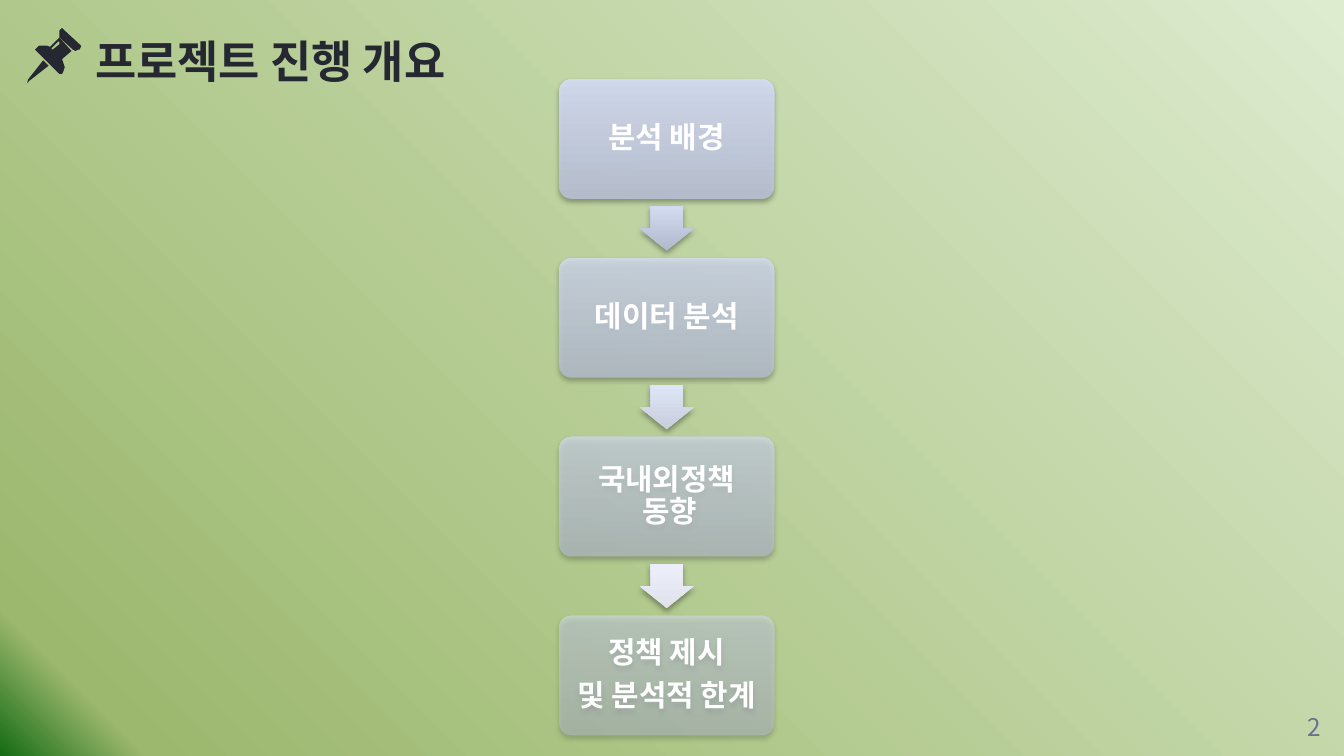
from dataclasses import dataclass

from lxml.etree import SubElement
from pptx import Presentation
from pptx.dml.color import RGBColor
from pptx.enum.shapes import MSO_SHAPE as Kind
from pptx.enum.text import MSO_ANCHOR as Anchor, PP_ALIGN as Align
from pptx.oxml.ns import qn
from pptx.util import Cm, Pt


@dataclass(frozen=True)
class Theme:
    font: str = "Noto Sans CJK KR"
    dark: str = "252831"
    light: str = "FFFFFF"
    grey: str = "68728D"
    black: str = "000000"
    back: tuple = ((0, "DDEBCF"), (93, "9CB86E"), (100, "156B13"))
    card: tuple = ((0, "BAC1D6"), (100, "D6DEF6"))
    arrows: tuple = (
        ((0, "B1B9CD"), (100, "D3DBF1")),
        ((0, "C9CEDD"), (100, "DEE5F6")),
        ((0, "E0E3EC"), (100, "ECEFFA")),
    )
    title: int = 24
    step: int = 16
    number: int = 13


THEME = Theme()
STEPS = (
    (90, ["분석 배경"]),
    (77, ["데이터 분석"]),
    (63, ["국내외정책\v 동향"]),
    (50, ["정책 제시", "및 분석적 한계"]),
)
NEEDLE = [[(12, 24), (1, 38), (0, 41), (2, 39), (16, 28)]]
HEAD = [[(26, 0), (25, 1), (24, 2), (24, 7), (34, 16), (36, 17),
         (38, 16), (39, 16), (40, 14), (40, 13), (27, 1)]]
BODY = [
    [(24, 7), (17, 14), (15, 13), (12, 13), (9, 13), (7, 15), (6, 16),
     (24, 34), (26, 34), (27, 32), (28, 29), (27, 26), (26, 23), (33, 17)],
    [(24, 10), (24, 12), (19, 16), (18, 15), (23, 10)],
]


def tint(parent, color, alpha):
    node = SubElement(parent, qn("a:srgbClr"), val=color)
    if alpha < 100:
        SubElement(node, qn("a:alpha"), val=str(alpha * 1000))


def blend(fill, root, stops, angle, alpha=100):
    fill.gradient()
    fill.gradient_angle = 360 - angle
    grad = root.xpath(".//a:gradFill")[0]
    grad.set("rotWithShape", "0")
    ramp = grad.find(qn("a:gsLst"))
    for stop in list(ramp):
        ramp.remove(stop)
    for pos, color in stops:
        tint(SubElement(ramp, qn("a:gs"), pos=str(pos * 1000)), color, alpha)


def shade(shape):
    shape.shadow.inherit = False
    effect = shape._element.spPr.find(qn("a:effectLst"))
    drop = SubElement(effect, qn("a:outerShdw"), blurRad=str(Pt(3.1)),
                      dist=str(Pt(1.8)), dir="5400000", rotWithShape="0")
    tint(drop, THEME.black, 35)


def write(shape, lines, size, color, inset=0, bold=False,
          anchor=Anchor.MIDDLE, layout=None):
    frame = shape.text_frame
    look = dict(word_wrap=True, vertical_anchor=anchor,
                margin_left=inset, margin_right=inset,
                margin_top=inset, margin_bottom=inset)
    for key, value in look.items():
        setattr(frame, key, value)
    frame.text = "\n".join(lines)
    for para in frame.paragraphs:
        for key, value in (layout or {}).items():
            setattr(para, key, value)
        for run in para.runs:
            style = dict(name=THEME.font, size=Pt(size), bold=bold)
            for key, value in style.items():
                setattr(run.font, key, value)
            run.font.color.rgb = RGBColor.from_string(color)
            SubElement(run.font._element, qn("a:ea"), typeface=THEME.font)


def draw_title(slide, left, top, width, height):
    box = slide.shapes.add_textbox(left, top, width, height)
    write(box, ["프로젝트 진행 개요"], THEME.title, THEME.dark, bold=True,
          anchor=Anchor.BOTTOM)


def draw_number(slide, left, top, width, height):
    box = slide.shapes.add_textbox(left, top, width, height)
    write(box, ["2"], THEME.number, THEME.grey,
          layout=dict(alignment=Align.CENTER))


def draw_pin(slide, left, top, width):
    group = slide.shapes.add_group_shape()
    for loops in (NEEDLE, HEAD, BODY):
        first, *rest = loops
        pen = group.shapes.build_freeform(*first[0], scale=width / 40)
        pen.add_line_segments(first[1:], close=True)
        for loop in rest:
            pen.move_to(*loop[0])
            pen.add_line_segments(loop[1:], close=True)
        part = pen.convert_to_shape(left, top)
        part.shadow.inherit = False
        part.fill.solid()
        part.fill.fore_color.rgb = RGBColor.from_string(THEME.dark)
        part.line.fill.background()


def draw_flow(slide, left, top, width, height):
    group = slide.shapes.add_group_shape()
    gap = Cm(1.12)
    tall = (height - gap * (len(STEPS) - 1)) // len(STEPS)
    long, wide = Cm(0.84), Cm(1.02)
    layout = dict(alignment=Align.CENTER, line_spacing=0.9, space_after=Pt(6))
    for row, (alpha, lines) in enumerate(STEPS):
        y = top + row * (tall + gap)
        card = group.shapes.add_shape(Kind.ROUNDED_RECTANGLE,
                                      left, y, width, tall)
        card.adjustments[0] = 0.1
        blend(card.fill, card._element, THEME.card, 270, alpha)
        card.line.fill.background()
        shade(card)
        write(card, lines, THEME.step, THEME.light, inset=Cm(0.17),
              bold=True, layout=layout)
        if row < len(THEME.arrows):
            arrow = group.shapes.add_shape(
                Kind.RIGHT_ARROW, left + (width - long) // 2,
                y + tall + (gap - wide) // 2, long, wide)
            arrow.rotation = 90
            arrow.adjustments[0] = 0.6
            arrow.adjustments[1] = 0.5
            blend(arrow.fill, arrow._element, THEME.arrows[row], 270)
            arrow.line.fill.background()
            shade(arrow)


def main():
    deck = Presentation()
    deck.slide_width, deck.slide_height = Cm(25.4), Cm(14.29)
    slide = deck.slides.add_slide(deck.slide_layouts[6])
    blend(slide.background.fill, slide._element, THEME.back, 135)
    draw_title(slide, Cm(1.8), Cm(0.25), Cm(9.96), Cm(1.4))
    draw_number(slide, Cm(24.26), Cm(13.16), Cm(1.14), Cm(1.14))
    draw_flow(slide, Cm(10.57), Cm(1.5), Cm(4.06), Cm(12.4))
    draw_pin(slide, Cm(0.51), Cm(0.53), Cm(1.02))
    deck.save("out.pptx")


if __name__ == "__main__":
    main()
